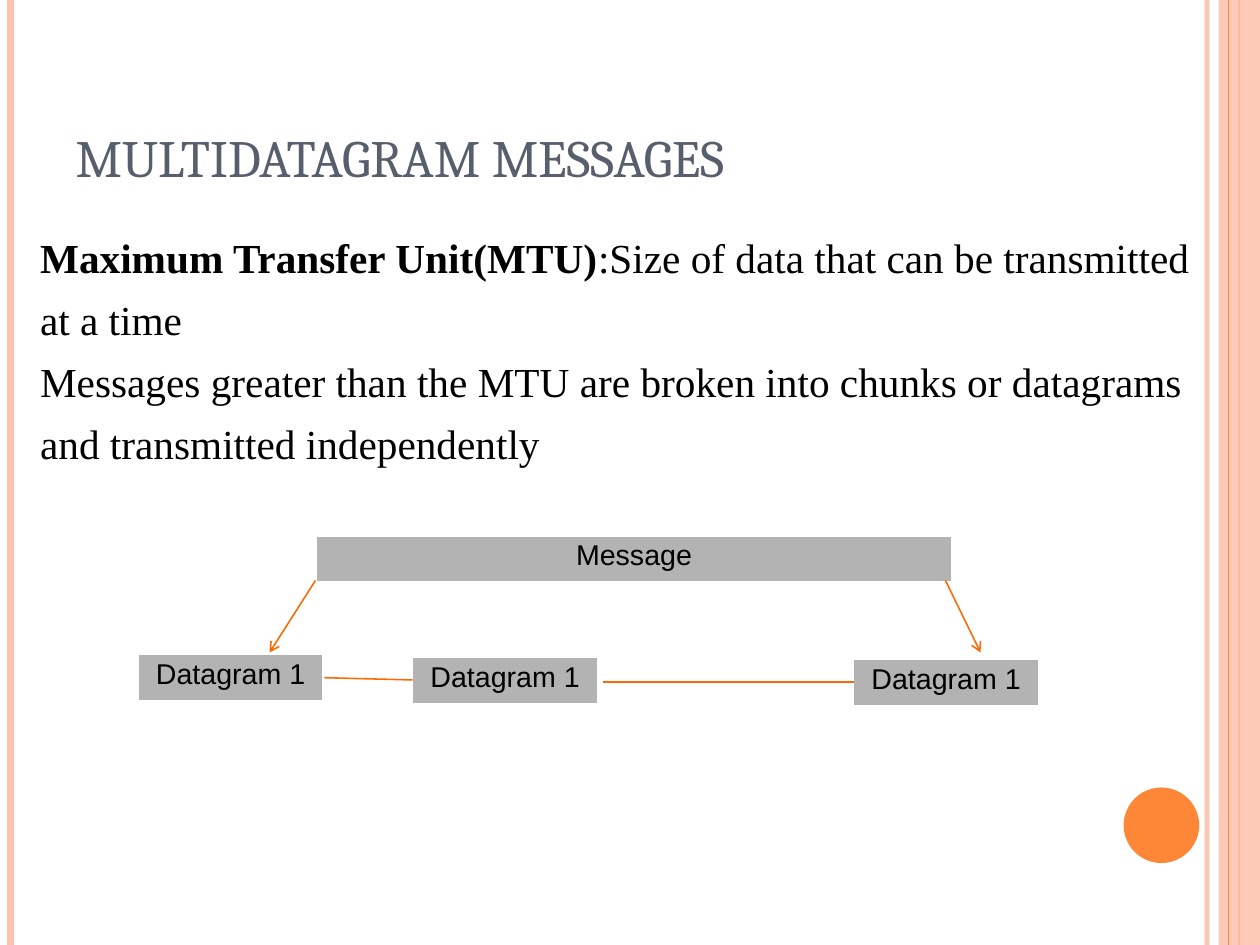
import pptx
import pptx.dml.color
import pptx.enum.shapes
import pptx.enum.text
import pptx.oxml.ns
import pptx.util
from lxml import etree

Cm = pptx.util.Cm
Pt = pptx.util.Pt
Align = pptx.enum.text.PP_ALIGN
Shape = pptx.enum.shapes.MSO_SHAPE

PEACH = "FEC3AE"
ORANGE = "FE8637"
ARROW = "FF6903"
HIGH = Cm(21)


def color(code):
    return pptx.dml.color.RGBColor.from_string(code)


def child(parent, tag, **attrs):
    return etree.SubElement(parent, pptx.oxml.ns.qn(tag), attrs)


def fade(fill, part):
    """Make a solid fill opaque only to the given percentage."""
    for node in fill.iter(pptx.oxml.ns.qn("a:srgbClr")):
        child(node, "a:alpha", val=str(part * 1000))


def add_run(para, text, size, face, code, bold=False):
    run = para.add_run()
    run.text = text
    run.font.size = Pt(size)
    run.font.name = face
    run.font.bold = bold
    run.font.color.rgb = color(code)


def add_line(slide, start, end, code, width, head=False, part=100):
    line = slide.shapes.add_connector(
        pptx.enum.shapes.MSO_CONNECTOR.STRAIGHT,
        Cm(start[0]), Cm(start[1]), Cm(end[0]), Cm(end[1]))
    line.line.color.rgb = color(code)
    line.line.width = Pt(width)
    stroke = line.line._get_or_add_ln()
    if part < 100:
        fade(stroke, part)
    if head:
        child(stroke, "a:tailEnd", type="arrow")
    child(line._element.spPr, "a:effectLst")


def add_block(slide, kind, left, top, width, height, code, part=100):
    block = slide.shapes.add_shape(
        kind, Cm(left), Cm(top), Cm(width), Cm(height))
    block.shadow.inherit = False
    block.fill.solid()
    block.fill.fore_color.rgb = color(code)
    block.line.fill.background()
    if part < 100:
        fade(block._element.spPr, part)


def add_box(slide, text, left, top, width):
    """Add a one-cell table as a labelled grey box."""
    table = slide.shapes.add_table(
        1, 1, Cm(left), Cm(top), Cm(width), Cm(1.02)).table
    table.first_row = False
    table.horz_banding = False
    cell = table.cell(0, 0)
    cell.fill.solid()
    cell.fill.fore_color.rgb = color("B3B3B3")
    para = cell.text_frame.paragraphs[0]
    para.alignment = Align.CENTER
    para.line_spacing = 0.94
    add_run(para, text, 18, "Arial", "000000")


def place(holder, left, top, width, height, anchor):
    holder.left, holder.top = Cm(left), Cm(top)
    holder.width, holder.height = Cm(width), Cm(height)
    frame = holder.text_frame
    frame.word_wrap = True
    frame.auto_size = pptx.enum.text.MSO_AUTO_SIZE.NONE
    frame.vertical_anchor = anchor
    frame.margin_left = frame.margin_right = Cm(0.28)
    frame.margin_top = frame.margin_bottom = Cm(0.15)
    return frame


def add_title(slide, text):
    frame = place(slide.shapes.title, 1.4, 0.84, 25.17, 3.48,
                  pptx.enum.text.MSO_ANCHOR.BOTTOM)
    para = frame.paragraphs[0]
    para.alignment = Align.LEFT
    add_run(para, text, 33, "Cambria", "575F6D")


def add_body(slide, lines):
    frame = place(slide.placeholders[1], 0.61, 5, 26.59, 12.17,
                  pptx.enum.text.MSO_ANCHOR.TOP)
    for i, runs in enumerate(lines):
        para = frame.add_paragraph() if i else frame.paragraphs[0]
        props = para._p.get_or_add_pPr()
        props.set("marL", str(Cm(0.84)))
        props.set("indent", str(-Cm(0.84)))
        child(props, "a:buNone")
        para.alignment = Align.LEFT
        para.space_before = Pt(8 if i else 0)
        for text, bold in runs:
            add_run(para, text, 26, "Times New Roman", "000000", bold)


def add_frame(slide):
    tall = HIGH.cm
    add_line(slide, (26.82, 0), (26.82, tall), PEACH, 3, part=93)
    add_line(slide, (0.23, 0), (0.23, tall), PEACH, 4.5)
    add_line(slide, (27.53, 0), (27.53, tall), ORANGE, 1.5)
    add_block(slide, Shape.RECTANGLE, 27.08, 0, 0.92, tall, PEACH, 87)
    add_line(slide, (27.3, 0), (27.3, tall), ORANGE, 0.75)
    add_block(slide, Shape.OVAL, 24.97, 17.5, 1.68, 1.68, ORANGE)


def main():
    deck = pptx.Presentation()
    deck.slide_width, deck.slide_height = Cm(28), HIGH
    slide = deck.slides.add_slide(deck.slide_layouts[1])

    # Side bands and disc
    add_frame(slide)

    # Title and text
    add_title(slide, "MULTIDATAGRAM MESSAGES")
    add_body(slide, [
        [("Maximum Transfer Unit(MTU)", True),
         (":Size of data that can be transmitted", False)],
        [("at a time", False)],
        [("Messages greater than the MTU are broken into chunks or datagrams",
          False)],
        [("and transmitted independently", False)],
    ])

    # Message split into datagrams
    add_box(slide, "Message", 7.04, 11.91, 14.1)
    for left, top in [(3.07, 14.55), (9.17, 14.61), (18.97, 14.66)]:
        add_box(slide, "Datagram 1", left, top, 4.11)

    # Arrows down and links across
    for start, end, head in [
        ((7.01, 12.9), (5.99, 14.5), True),
        ((21.01, 12.9), (21.79, 14.5), True),
        ((7.21, 15.06), (9.17, 15.11), False),
        ((13.41, 15.16), (18.97, 15.16), False),
    ]:
        add_line(slide, start, end, ARROW, 1, head)

    deck.save("out.pptx")


if __name__ == "__main__":
    main()
